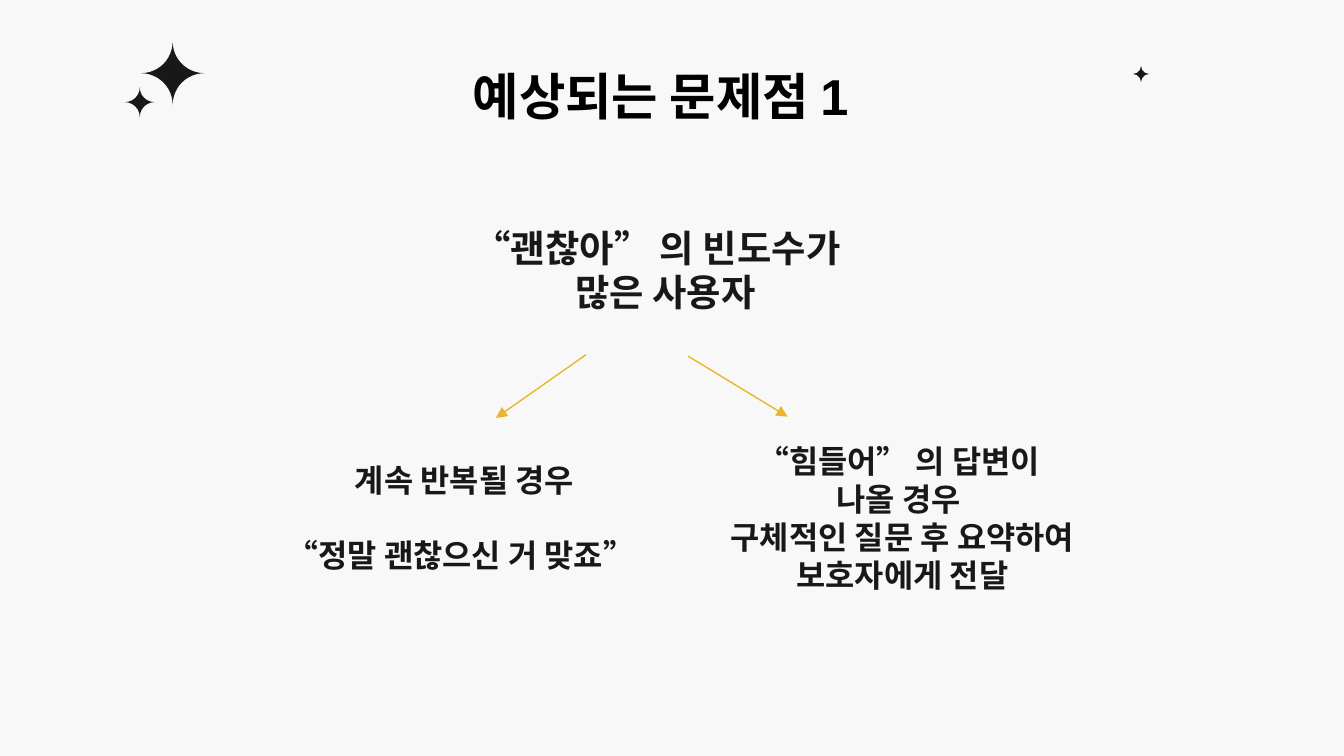
from lxml import etree
from pptx import Presentation
from pptx import util as u
from pptx.dml.color import RGBColor
from pptx.enum import shapes, text
from pptx.oxml.ns import qn

COLORS = {"background": "F8F8F8", "ink": "181818", "title": "000000", "arrow": "EBB52B"}


def color(name):
    """Return the named palette colour."""
    return RGBColor.from_string(COLORS[name])


def add_sparkle(slide, left, top, size):
    """Draw a four-pointed sparkle."""
    sparkle = slide.shapes.add_shape(
        shapes.MSO_SHAPE.PLAQUE, u.Inches(left), u.Inches(top), u.Inches(size), u.Inches(size))
    sparkle.adjustments[0] = 0.5
    sparkle.shadow.inherit = False
    sparkle.fill.solid()
    sparkle.fill.fore_color.rgb = color("ink")
    sparkle.line.fill.background()


def add_text(slide, lines, left, top, width, height, *, size, ink="ink",
             anchor=text.MSO_ANCHOR.MIDDLE, line_spacing=1.0, gap=0):
    """Write centred bold lines in a box, with a gap in points between them."""
    frame = slide.shapes.add_textbox(
        u.Inches(left), u.Inches(top), u.Inches(width), u.Inches(height)).text_frame
    frame.word_wrap = True
    frame.vertical_anchor = anchor
    frame.margin_left = frame.margin_right = u.Inches(0.1)
    frame.margin_top = frame.margin_bottom = u.Inches(0.1)
    for index, line in enumerate(lines):
        paragraph = frame.add_paragraph() if index else frame.paragraphs[0]
        paragraph.alignment = text.PP_ALIGN.CENTER
        paragraph.line_spacing = line_spacing
        if index and gap:
            paragraph.space_before = u.Pt(gap)
        run = paragraph.add_run()
        run.text = line
        run.font.name = "Arial"
        run.font.size = u.Pt(size)
        run.font.bold = True
        run.font.color.rgb = color(ink)


def add_arrow(slide, start, end):
    """Draw a thin arrow from start to end."""
    arrow = slide.shapes.add_connector(
        shapes.MSO_CONNECTOR.STRAIGHT, *(u.Inches(value) for value in (*start, *end)))
    arrow.line.color.rgb = color("arrow")
    arrow.line.width = u.Pt(0.75)
    etree.SubElement(arrow.line._get_or_add_ln(), qn("a:tailEnd"), type="triangle")
    etree.SubElement(arrow._element.spPr, qn("a:effectLst"))


def main():
    """Build the slide on the first expected problem."""
    deck = Presentation()
    deck.slide_width = u.Inches(10)
    deck.slide_height = u.Inches(10 * 9 / 16)
    slide = deck.slides.add_slide(deck.slide_layouts[6])
    slide.background.fill.solid()
    slide.background.fill.fore_color.rgb = color("background")

    for left, top, size in ((0.93, 0.65, 0.22), (1.05, 0.31, 0.47), (8.43, 0.49, 0.12)):
        add_sparkle(slide, left, top, size)

    add_text(slide, ["예상되는 문제점 1"], 0.7, 0.32, 8.43, 0.63, size=27, ink="title",
             anchor=text.MSO_ANCHOR.TOP, line_spacing=1.15)
    add_text(slide, [" 계속 반복될 경우", "“정말 괜찮으신 거 맞죠”"],
             1.66, 3.11, 3.54, 1.48, size=17, gap=20)
    add_text(slide, ["“괜찮아” 의 빈도수가 ", " 많은 사용자"], 2.48, 1.2, 4.88, 1.61, size=20)
    add_text(slide, ["“힘들어” 의 답변이 ", "나올 경우 ", "구체적인 질문 후 요약하여 보호자에게 전달"],
             5.06, 3.14, 3.31, 1.43, size=17)

    add_arrow(slide, (4.36, 2.64), (3.69, 3.11))
    add_arrow(slide, (5.12, 2.65), (5.86, 3.1))
    deck.save("out.pptx")


if __name__ == "__main__":
    main()
